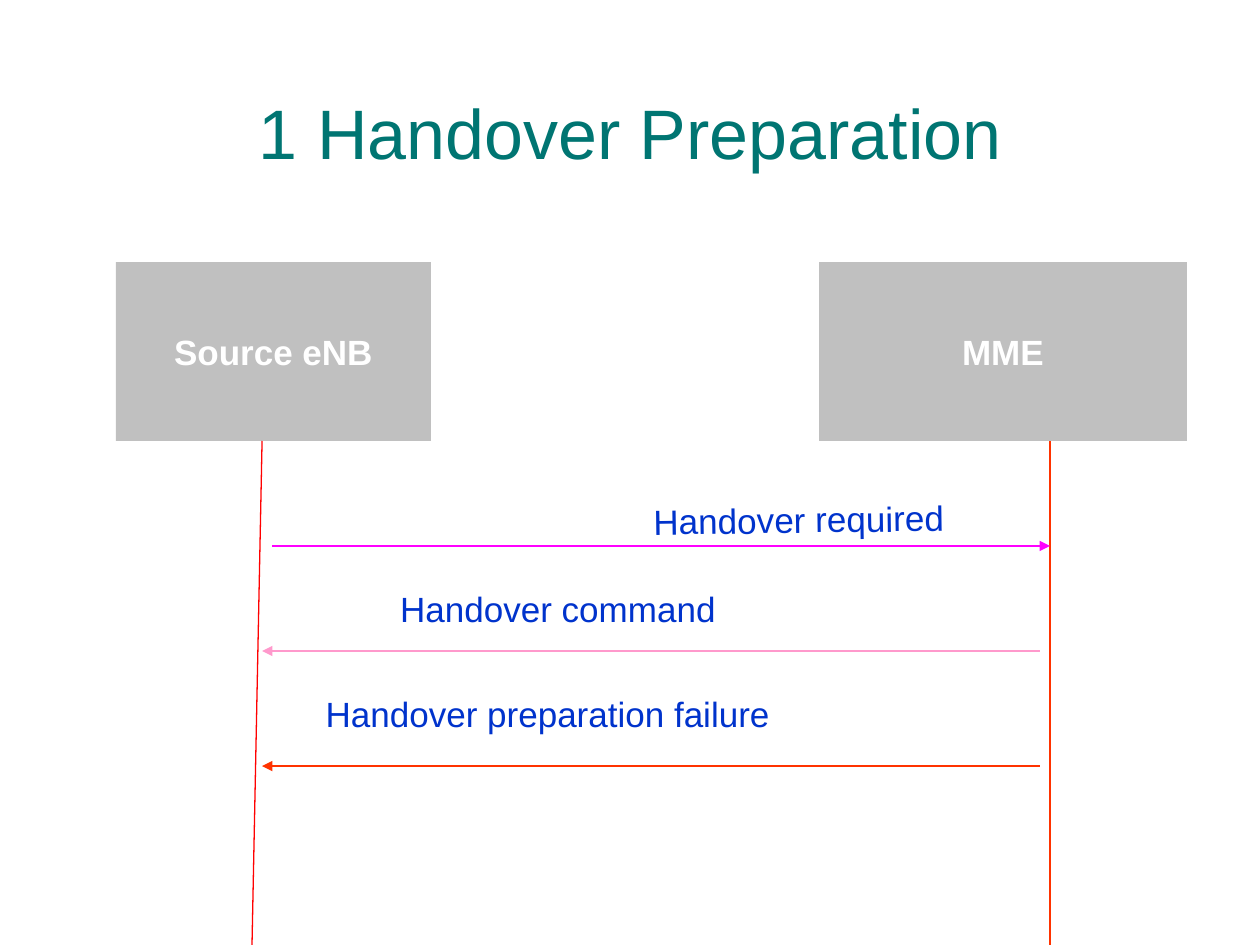
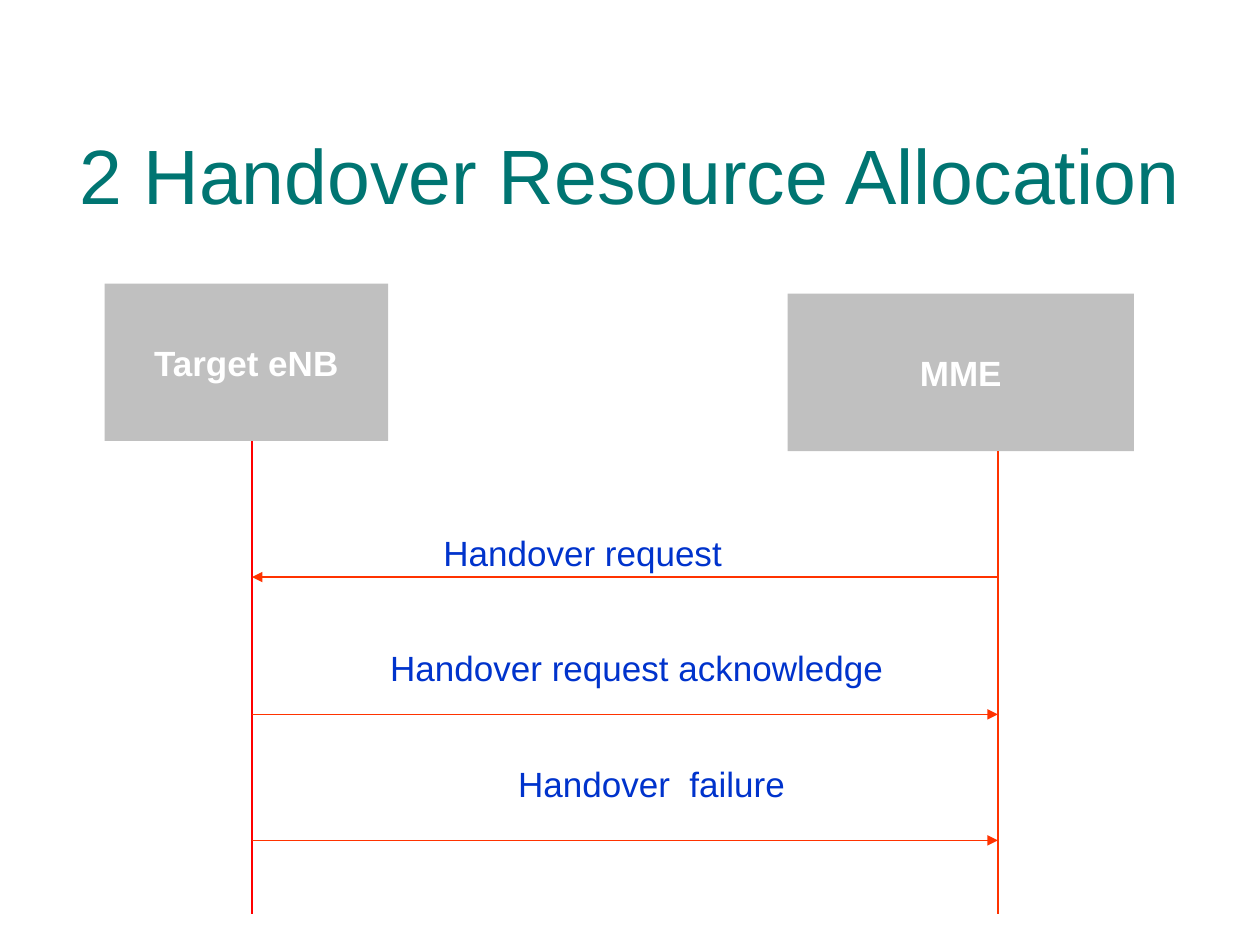
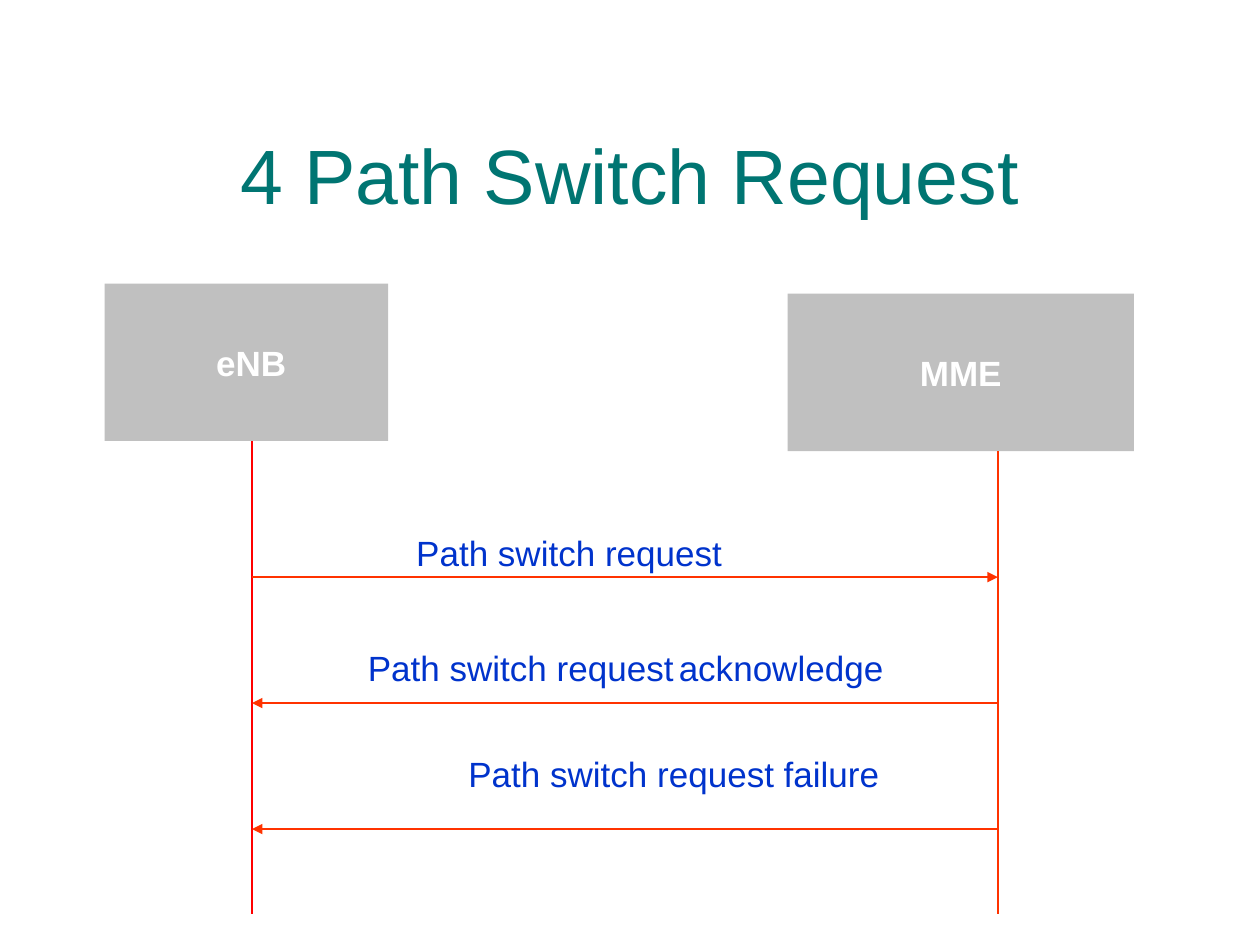
from pptx import Presentation
from pptx.dml.color import RGBColor
from pptx.enum.shapes import MSO_CONNECTOR as CONN, MSO_SHAPE as SHAPE
from pptx.enum.text import MSO_ANCHOR as ANCHOR, MSO_AUTO_SIZE as AUTO, PP_ALIGN as ALIGN
from pptx.oxml.ns import qn
from pptx.util import Inches, Pt
from lxml import etree

THEME = dict(
    font="Arial", title="007572", node="C0C0C0", node_text="FFFFFF",
    label="0033CC", source_line="FF0000", mme_line="FF3300",
    title_size=44, text_size=20, space_size=10, line_width=0.75,
    label_height=0.44, label_slack=0.05,
)
RED, MAGENTA, PINK = THEME["mme_line"], "FF00FF", "FF99CC"
TITLE_BOX = (0.33, 0.75, 9.34, 1.25)
NODES = ((0.83, 2.25, 2.25, 1.25), (6.25, 2.33, 2.75, 1.25))
ACKNOWLEDGE = (
    "Path switch request",
    (" ", dict(size=THEME["space_size"], color=THEME["node_text"], bold=True)),
    "acknowledge",
)

SLIDES = [
    dict(
        title="1 Handover Preparation", title_size=40, title_anchor=ANCHOR.TOP,
        title_box=(0.33, 0.71, 9.34, 1.25),
        names=("Source eNB", "MME"),
        nodes=((0.92, 2.08, 2.5, 1.42), (6.5, 2.08, 2.92, 1.42)),
        lifelines=((2.08, 2), (25 / 3, 25 / 3)), bottom=7.5, gap=0.08,
        messages=[
            dict(label="Handover required", at=(4.42, 3.91, 3.17), rotation=-0.8,
                 y=13 / 3, to_mme=True, color=MAGENTA),
            dict(label="Handover command", at=(3.08, 4.61, 2.7), y=31 / 6, color=PINK),
            dict(label="Handover preparation failure", at=(2.48, 5.45, 3.73), y=6.08),
        ],
    ),
    dict(
        title="2 Handover Resource Allocation", names=("Target eNB", "MME"),
        messages=[
            dict(label="Handover request", at=(3.42, 4.17, 2.41), y=4.58),
            dict(label="Handover request acknowledge", at=(3, 5.08, 4.11), y=5.67, to_mme=True),
            dict(label="Handover  failure", at=(3.75, 6, 2.58), y=6.67, to_mme=True),
        ],
    ),
    dict(
        title="4 Path Switch Request", names=(" eNB", "MME"),
        messages=[
            dict(label="Path switch request", at=(3.2, 4.17, 2.63), y=4.58, to_mme=True),
            dict(label=ACKNOWLEDGE, at=(2.82, 5.08, 4.29), y=5.58),
            dict(label="Path switch request failure", at=(2.83, 5.92, 4.25), y=6.58),
        ],
    ),
]


def write(sp, text, size=THEME["text_size"], color=THEME["label"], bold=False,
          align=ALIGN.CENTER, anchor=ANCHOR.MIDDLE, wrap=True, before=0):
    tf = sp.text_frame
    tf.word_wrap = wrap
    tf.vertical_anchor = anchor
    p = tf.paragraphs[0]
    p.alignment = align
    p.space_before = Pt(before)
    for part in (text,) if isinstance(text, str) else text:
        content, own = (part, {}) if isinstance(part, str) else part
        style = dict(size=size, color=color, bold=bold) | own
        r = p.add_run()
        r.text = content
        r.font.name = THEME["font"]
        r.font.size = Pt(style["size"])
        r.font.bold = style["bold"]
        r.font.color.rgb = RGBColor.from_string(style["color"])


def add_title(slide, text, box, size, anchor):
    sp = slide.shapes.title
    sp.left, sp.top, sp.width, sp.height = map(Inches, box)
    write(sp, text, size=size, color=THEME["title"], anchor=anchor)
    sp.text_frame.auto_size = AUTO.NONE
    if anchor == ANCHOR.TOP:
        sp.text_frame.margin_top = 0


def add_node(slide, name, box):
    sp = slide.shapes.add_shape(SHAPE.RECTANGLE, *map(Inches, box))
    sp.shadow.inherit = False
    sp.fill.solid()
    sp.fill.fore_color.rgb = RGBColor.from_string(THEME["node"])
    sp.line.fill.background()
    write(sp, name, color=THEME["node_text"], bold=True, wrap=False)


def add_line(slide, x1, y1, x2, y2, color, arrow=False):
    line = slide.shapes.add_connector(CONN.STRAIGHT, *map(Inches, (x1, y1, x2, y2)))
    line.line.color.rgb = RGBColor.from_string(color)
    line.line.width = Pt(THEME["line_width"])
    props = line.element.spPr
    if arrow:
        etree.SubElement(props.find(qn("a:ln")), qn("a:tailEnd"), type="triangle")
    etree.SubElement(props, qn("a:effectLst"))


def add_message(slide, ends, gap, label, at, y, to_mme=False, color=RED, rotation=0):
    left, right = ends
    x1, x2 = (left + gap, right) if to_mme else (right - gap, left)
    add_line(slide, x1, y, x2, y, color, arrow=True)
    x, top, width = at
    slack = THEME["label_slack"]
    box = (x - slack, top, width + slack, THEME["label_height"])
    sp = slide.shapes.add_textbox(*map(Inches, box))
    sp.rotation = rotation
    write(sp, label, align=ALIGN.RIGHT, anchor=ANCHOR.TOP, before=5)
    sp.text_frame.auto_size = AUTO.SHAPE_TO_FIT_TEXT


def build_slide(prs, title, names, messages, nodes=NODES, lifelines=((2, 2), (7.92, 7.92)),
                bottom=7.25, gap=0, title_box=TITLE_BOX, title_size=THEME["title_size"],
                title_anchor=ANCHOR.MIDDLE):
    slide = prs.slides.add_slide(prs.slide_layouts[5])
    add_title(slide, title, title_box, title_size, title_anchor)
    colors = THEME["source_line"], THEME["mme_line"]
    for name, box, (x1, x2), color in zip(names, nodes, lifelines, colors):
        add_node(slide, name, box)
        add_line(slide, x1, box[1] + box[3], x2, bottom, color)
    ends = [x for x, _ in lifelines]
    for message in messages:
        add_message(slide, ends, gap, **message)


def main():
    prs = Presentation()
    prs.slide_width, prs.slide_height = Inches(10), Inches(7.5)
    for content in SLIDES:
        build_slide(prs, **content)
    prs.save("out.pptx")


if __name__ == "__main__":
    main()
